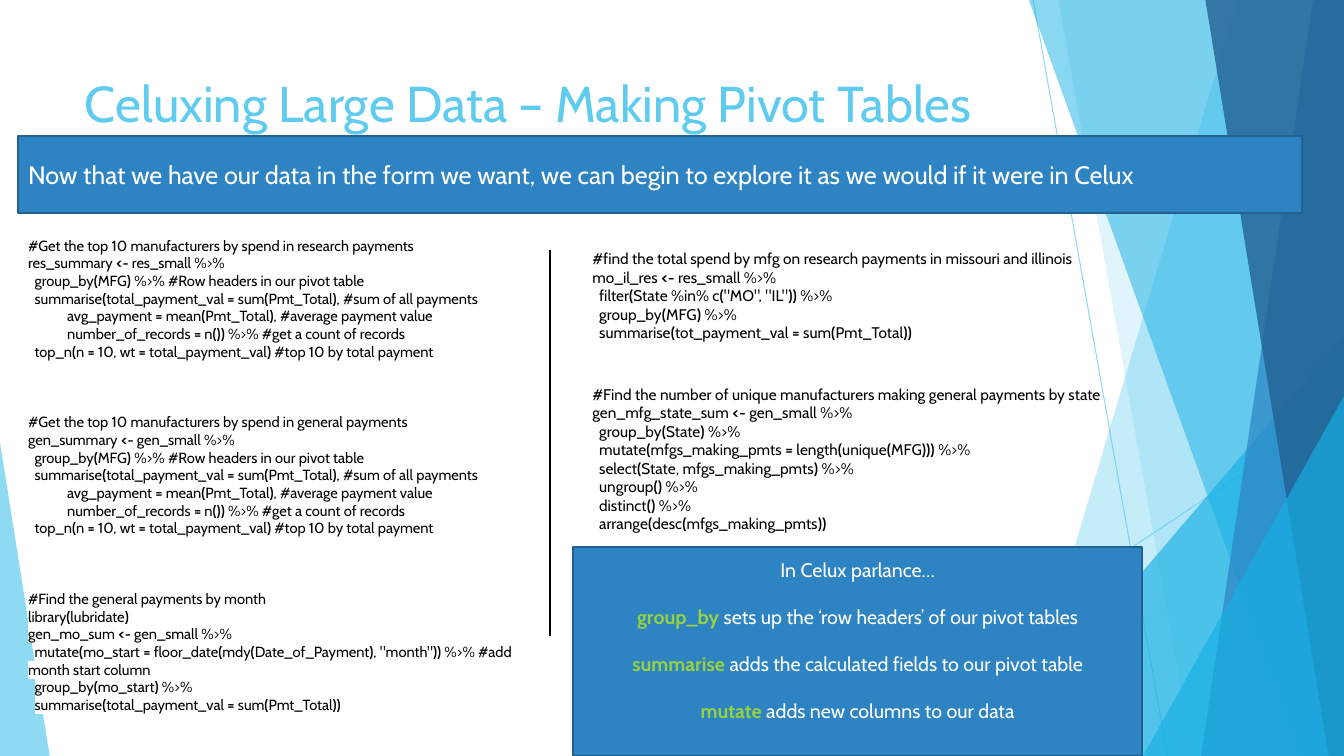
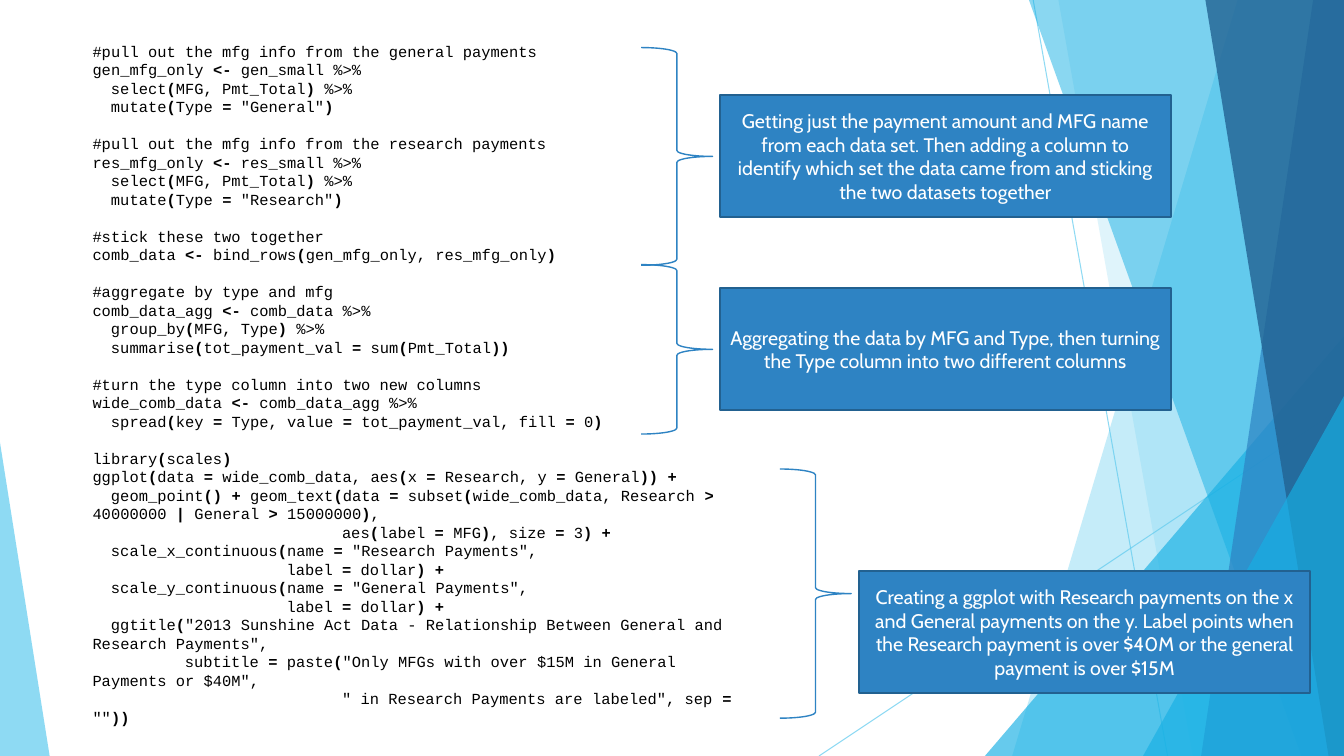
from itertools import groupby

from lxml.etree import SubElement
from pptx import Presentation
from pptx.dml.color import RGBColor
from pptx.enum.shapes import MSO_CONNECTOR, MSO_SHAPE
from pptx.enum.text import MSO_ANCHOR, MSO_AUTO_SIZE, PP_ALIGN
from pptx.oxml import parse_xml
from pptx.oxml.ns import nsdecls, qn
from pptx.util import Pt

HUES = {
    "sky": "5FCBEF", "cyan": "17B0E4", "blue": "2E83C3", "navy": "226292",
    "edge": "226190", "lime": "96D141", "white": "FFFFFF", "black": "000000",
}
WIDE, HIGH = 960, 540
SANS, MONO = "Cabin", "Courier New"
SMALL = {"size": 10.5, "face": SANS, "lead": 12.6, "step": 2.33}
PLAIN = {"size": 11, "face": SANS, "lead": 13.2, "step": 2.44}
FIXED = {"size": 11, "face": MONO, "lead": 13.2, "step": 6.6}

TOP = """#Get the top 10 manufacturers by spend in {name} payments
{key}_summary <- {key}_small %>%
  group_by(MFG) %>% #Row headers in our pivot table
  summarise(total_payment_val = sum(Pmt_Total), #sum of all payments
            avg_payment = mean(Pmt_Total), #average payment value
            number_of_records = n()) %>% #get a count of records
  top_n(n = 10, wt = total_payment_val) #top 10 by total payment



"""
MONTH = """#Find the general payments by month
library(lubridate)
gen_mo_sum <- gen_small %>%
  mutate(mo_start = floor_date(mdy(Date_of_Payment), "month")) %>% #add month start column
  group_by(mo_start) %>%
  summarise(total_payment_val = sum(Pmt_Total))"""
STATE = """#find the total spend by mfg on research payments in missouri and illinois
mo_il_res <- res_small %>%
  filter(State %in% c("MO", "IL")) %>%
  group_by(MFG) %>%
  summarise(tot_payment_val = sum(Pmt_Total))"""
COUNT = """#Find the number of unique manufacturers making general payments by state
gen_mfg_state_sum <- gen_small %>%
  group_by(State) %>%
  mutate(mfgs_making_pmts = length(unique(MFG))) %>%
  select(State, mfgs_making_pmts) %>%
  ungroup() %>%
  distinct() %>%
  arrange(desc(mfgs_making_pmts))"""
PULL = """#pull out the mfg info from the {name} payments
{key}_mfg_only <- {key}_small %>%
  select(MFG, Pmt_Total) %>%
  mutate(Type = "{kind}")

"""
JOIN = """#stick these two together
comb_data <- bind_rows(gen_mfg_only, res_mfg_only)

#aggregate by type and mfg
comb_data_agg <- comb_data %>%
  group_by(MFG, Type) %>%
  summarise(tot_payment_val = sum(Pmt_Total))

#turn the type column into two new columns
wide_comb_data <- comb_data_agg %>%
  spread(key = Type, value = tot_payment_val, fill = 0)

"""
PLOT = """library(scales)
ggplot(data = wide_comb_data, aes(x = Research, y = General)) +
  geom_point() + geom_text(data = subset(wide_comb_data, Research > 40000000 | General > 15000000),
                           aes(label = MFG), size = 3) +
  scale_x_continuous(name = "Research Payments",
                     label = dollar) +
  scale_y_continuous(name = "General Payments",
                     label = dollar) +
"""
NAMES = """  ggtitle("2013 Sunshine Act Data - Relationship Between General and Research Payments",
          subtitle = paste("Only MFGs with over $15M in General Payments or $40M",
                           " in Research Payments are labeled", sep = ""))"""
TERMS = [
    ("group_by ", "sets up the ‘row headers’ of our pivot tables"),
    ("summarise ", "adds the calculated fields to our pivot table"),
    ("mutate ", "adds new columns to our data"),
]
NOTES = [
    (458, 34, 155.5, 514, 68,
     "Getting just the payment amount and MFG name from each data set. Then adding a column "
     "to identify which set the data came from and sticking the two datasets together"),
    (458, 189, 121, 514, 206,
     "Aggregating the data by MFG and Type, then turning the Type column into two different columns"),
    (557, 335, 178, 613.5, 408,
     "Creating a ggplot with Research payments on the x and General payments on the y. Label points "
     "when the Research payment is over $40M or the general payment is over $15M"),
]


def put(item, form):
    for key, val in form.items():
        setattr(item, key, val)


def hue(name):
    return RGBColor.from_string(HUES[name])


def pts(*vals):
    return [Pt(val) for val in vals]


def fade(fill, share):
    tint = fill._xPr.find(".//" + qn("a:srgbClr"))
    SubElement(tint, qn("a:alpha"), val=str(share * 1000))


def paint(shape, name, share=100):
    shape.shadow.inherit = False
    shape.fill.solid()
    shape.fill.fore_color.rgb = hue(name)
    shape.line.fill.background()
    fade(shape.fill, share)


def rule(slide, ends, name, width, share=100):
    line = slide.shapes.add_connector(MSO_CONNECTOR.STRAIGHT, *pts(*ends))
    line.line.width = Pt(width)
    line.line.color.rgb = hue(name)
    fade(line.line.fill, share)
    SubElement(line._element.spPr, qn("a:effectLst"))


def facet(slide, top, base, name, share):
    pen = slide.shapes.build_freeform(Pt(top), 0)
    pen.add_line_segments([pts(WIDE, 0), pts(WIDE, HIGH), pts(base, HIGH)])
    paint(pen.convert_to_shape(), name, share)


def wedge(slide, left, top, width, peak, name, share):
    box = pts(left, top, width, HIGH - top)
    shape = slide.shapes.add_shape(MSO_SHAPE.ISOSCELES_TRIANGLE, *box)
    shape.adjustments[0] = peak
    paint(shape, name, share)


def back(deck, slide):
    old = set(slide.shapes._spTree)
    rule(slide, (738, 0, 834, HIGH), "sky", 0.75, 70)
    rule(slide, (WIDE, 290, 585, HIGH), "sky", 0.75, 70)
    facet(slide, 884, 723, "sky", 36)
    facet(slide, 756, 852, "sky", 20)
    wedge(slide, 703.5, 240, 256.5, 1, "cyan", 66)
    facet(slide, 735, 929.5, "cyan", 50)
    facet(slide, 938, 858, "blue", 70)
    facet(slide, 861, 949, "navy", 80)
    wedge(slide, 816.5, 283, 143.5, 1, "cyan", 66)
    wedge(slide, 0, 316, 35.5, 0, "sky", 70)
    tree = deck.slide_master.shapes._spTree
    new = [node for node in slide.shapes._spTree if node not in old]
    for num, node in enumerate(new, 20):
        node.xpath(".//p:cNvPr")[0].set("id", str(num))
        tree.append(node)


def write(para, text, size, name, face=SANS, bold=False):
    run = para.add_run()
    run.text = text
    put(run.font, {"size": Pt(size), "name": face, "bold": bold})
    run.font.color.rgb = hue(name)
    return run


def mark(run):
    glow = parse_xml(f'<a:highlight {nsdecls("a")}><a:srgbClr val="{HUES["white"]}"/></a:highlight>')
    run._r.rPr.find(qn("a:solidFill")).addnext(glow)


def split(line):
    def strong(pair):
        last, char = pair
        return char in "()=+|<" or last + char in ("<-", " >")

    for bold, pairs in groupby(zip(" " + line, line), strong):
        yield "".join(char for _, char in pairs), bold


def code(slide, box, text, style):
    frame = slide.shapes.add_textbox(*pts(*box)).text_frame
    frame.word_wrap = True
    para, gap = frame.paragraphs[0], 0
    for num, line in enumerate(text.split("\n")):
        if not line:
            gap += 1
            continue
        para = frame.add_paragraph() if num else para
        put(para, {"line_spacing": Pt(style["lead"]), "space_before": Pt(gap * style["lead"])})
        body = line.lstrip()
        inset = Pt((len(line) - len(body)) * style["step"])
        para._p.get_or_add_pPr().set("indent", str(inset))
        for part, bold in split(body):
            mark(write(para, part, style["size"], "black", style["face"], bold))
        gap = 0


def panel(slide, box, rows, size=14, align=PP_ALIGN.CENTER, gap=0, foot=3.6):
    shape = slide.shapes.add_shape(MSO_SHAPE.RECTANGLE, *pts(*box))
    paint(shape, "blue")
    shape.line.color.rgb = hue("edge")
    shape.line.width = Pt(1.5)
    frame = shape.text_frame
    put(frame, {"word_wrap": True, "vertical_anchor": MSO_ANCHOR.MIDDLE, "margin_bottom": Pt(foot)})
    for num, (term, text) in enumerate(rows):
        para = frame.add_paragraph() if num else frame.paragraphs[0]
        put(para, {"alignment": align, "space_before": Pt(gap if num else 0)})
        if term:
            write(para, term, size, "lime", bold=True)
        write(para, text, size, "white")


def brace(slide, box):
    shape = slide.shapes.add_shape(MSO_SHAPE.RIGHT_BRACE, *pts(*box))
    shape.shadow.inherit = False
    shape.fill.background()
    shape.line.color.rgb = hue("blue")
    shape.line.width = Pt(1)


def title(slide, text):
    head = slide.shapes.title
    put(head, dict(zip(("left", "top", "width", "height"), pts(53.5, 48, 754.5, 104))))
    put(head.text_frame, {"vertical_anchor": MSO_ANCHOR.TOP, "word_wrap": True,
                          "auto_size": MSO_AUTO_SIZE.NONE})
    para = head.text_frame.paragraphs[0]
    para.alignment = PP_ALIGN.LEFT
    write(para, text, 36, "sky")


def pivot(slide):
    title(slide, "Celuxing Large Data – Making Pivot Tables")
    lead = "Now that we have our data in the form we want, we can begin to explore it as we would if it were in Celux"
    panel(slide, (13, 97, 917, 55), [("", lead)], 18, PP_ALIGN.LEFT)
    tops = [TOP.format(name=name, key=name[:3]) for name in ("research", "general")]
    code(slide, (13, 165.5, 363, 415), "".join(tops) + MONTH, SMALL)
    code(slide, (416, 271.5, 480, 114), COUNT, PLAIN)
    rule(slide, (393, 178.5, 393, 454.5), "black", 1)
    panel(slide, (409.5, 391, 406.5, 149), [("", "In Celux parlance…")] + TERMS, gap=16.8, foot=20.4)
    code(slide, (416, 174.5, 480, 74), STATE, PLAIN)


def chart(slide):
    pulls = [PULL.format(name=name, key=name[:3], kind=name.title()) for name in ("general", "research")]
    code(slide, (59, 26.5, 480, 513), "".join(pulls) + JOIN + PLOT + NAMES, FIXED)
    for left, top, high, side, row, text in NOTES:
        brace(slide, (left, top, 51, high))
        panel(slide, (side, row, 322.5, 87), [("", text)])


def main():
    deck = Presentation()
    put(deck, {"slide_width": Pt(WIDE), "slide_height": Pt(HIGH)})
    first, second = [deck.slides.add_slide(deck.slide_layouts[num]) for num in (5, 6)]
    back(deck, first)
    pivot(first)
    chart(second)
    deck.save("out.pptx")


if __name__ == "__main__":
    main()
